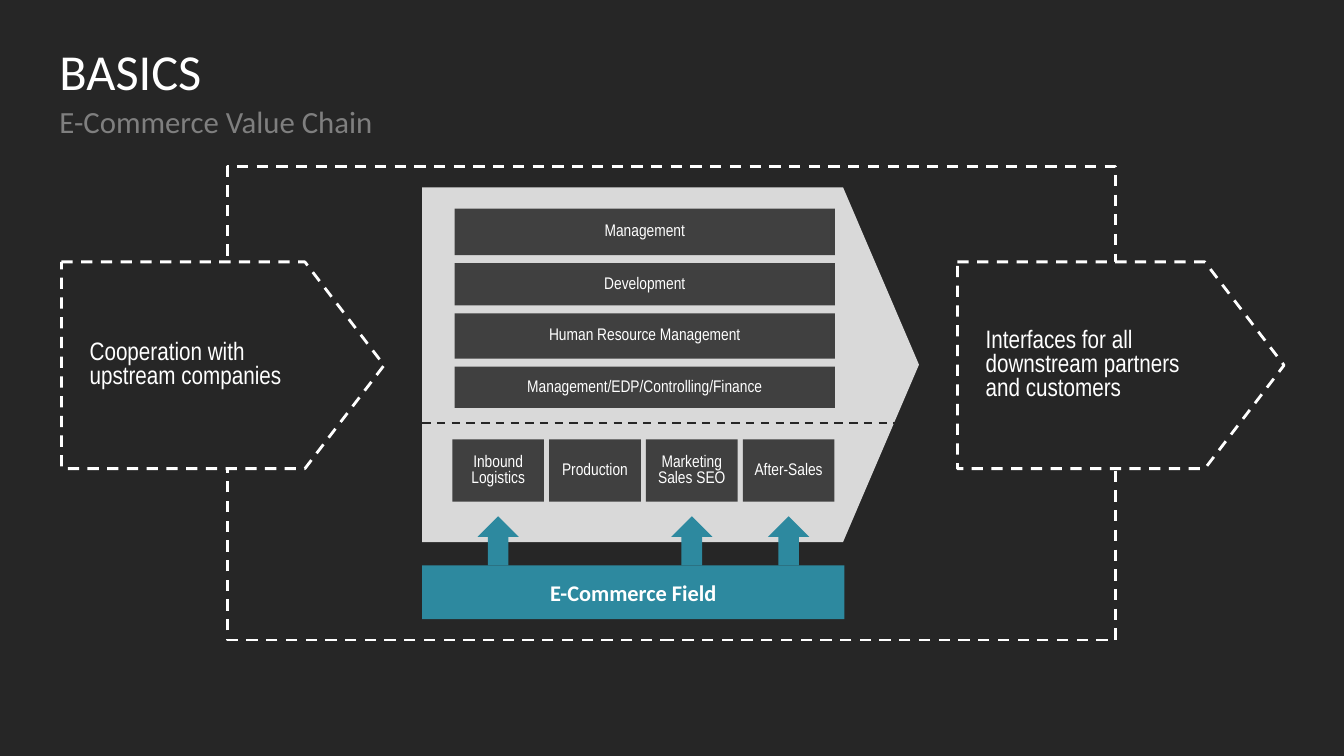
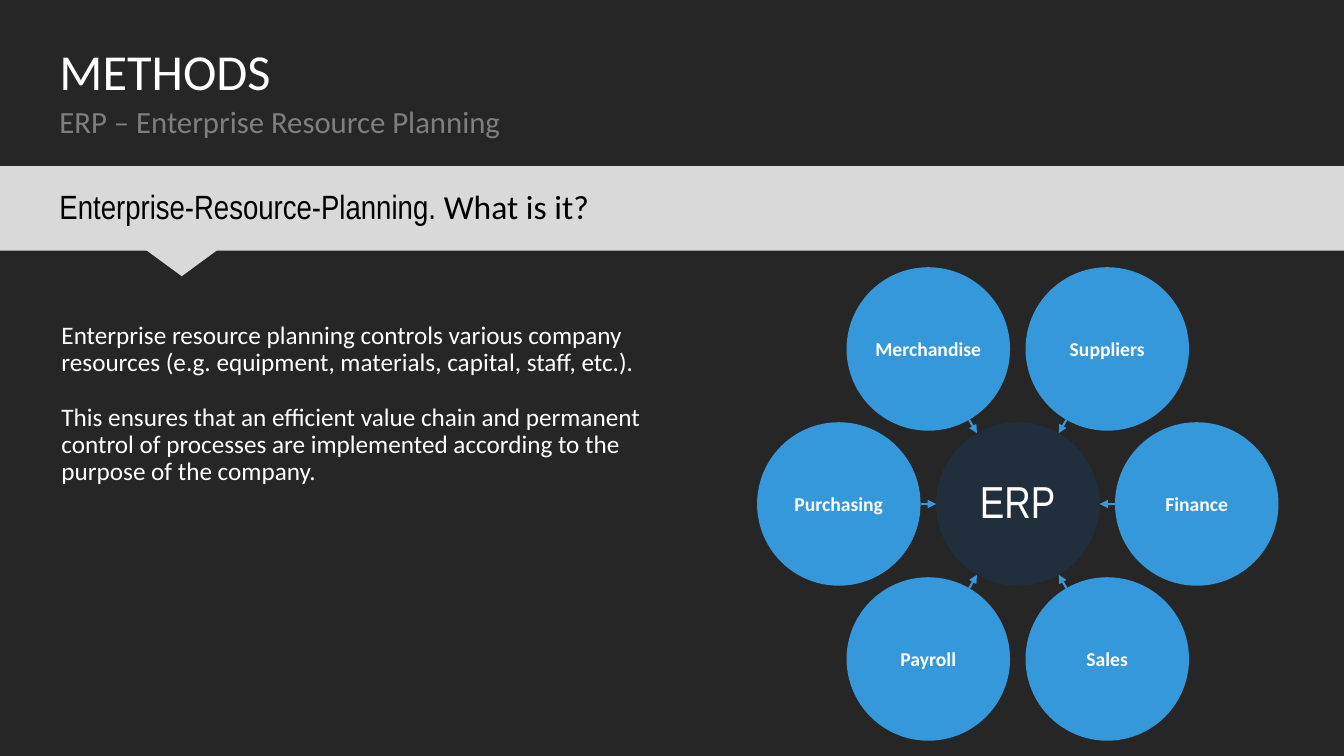
"""Builds two dark slides: the e-commerce value chain and an ERP overview."""
from math import cos, radians, sin

from pptx import Presentation
from pptx.dml.color import RGBColor
from pptx.enum.dml import MSO_LINE
from pptx.enum.shapes import MSO_CONNECTOR, MSO_SHAPE
from pptx.enum.text import MSO_ANCHOR as ANCHOR, PP_ALIGN as ALIGN
from pptx.oxml.ns import qn
from pptx.util import Cm, Pt
from lxml.etree import SubElement

DARK = RGBColor(0x26, 0x26, 0x26)
WHITE = RGBColor(0xFF, 0xFF, 0xFF)
BLACK = RGBColor(0x00, 0x00, 0x00)
GREY = RGBColor(0x7F, 0x7F, 0x7F)
LIGHT = RGBColor(0xD9, 0xD9, 0xD9)
CHARCOAL = RGBColor(0x40, 0x40, 0x40)
TEAL = RGBColor(0x2D, 0x89, 0x9F)
BLUE = RGBColor(0x34, 0x98, 0xDB)
NAVY = RGBColor(0x21, 0x2E, 0x3C)

TITLE = ("Calibri", 36, WHITE, False)
SUBTITLE = ("Calibri", 22, GREY, False)
BODY = ("Calibri", 18, WHITE, False)
FIELD = ("Calibri", 16, WHITE, True)
CELL = ("Arial Narrow", 12, WHITE, False)
PARTNER = ("Arial Narrow", 18, WHITE, False)
BAND = ("Arial Narrow", 24, BLACK, False)
BAND_QUESTION = ("Calibri", 24, BLACK, False)
HUB = ("Arial Narrow", 32, WHITE, False)
NODE = ("Calibri", 14, WHITE, True)

PAD = (0.2, 0.2, 0.2, 0.2)


def add_box(shapes, kind, box, fill=None, dashed=False, paras=(), insets=(0, 0, 0, 0),
            align=ALIGN.CENTER, spacing=1.0, gap=0):
    """Adds a preset shape, or a text box when kind is None, with its text."""
    lengths = [Cm(v) for v in box]
    if kind is None:
        sp = shapes.add_textbox(*lengths)
    else:
        sp = shapes.add_shape(kind, *lengths)
        sp.shadow.inherit = False
        if fill is None:
            sp.fill.background()
        else:
            sp.fill.solid()
            sp.fill.fore_color.rgb = fill
        if dashed:
            sp.line.color.rgb = WHITE
            sp.line.width = Pt(2)
            sp.line.dash_style = MSO_LINE.DASH
        else:
            sp.line.fill.background()
    tf = sp.text_frame
    tf.word_wrap = True
    tf.vertical_anchor = ANCHOR.TOP if kind is None else ANCHOR.MIDDLE
    tf.margin_left, tf.margin_top, tf.margin_right, tf.margin_bottom = [Cm(v) for v in insets]
    for i, runs in enumerate(paras):
        p = tf.add_paragraph() if i else tf.paragraphs[0]
        p.alignment = align
        p.line_spacing = spacing
        if i:
            p.space_before = Pt(gap)
        for text, (name, size, color, bold) in runs:
            r = p.add_run()
            r.text = text
            r.font.name, r.font.size, r.font.bold = name, Pt(size), bold
            r.font.color.rgb = color
    return sp


def add_line(shapes, ends, color, dash=None, arrow=False):
    """Adds a straight line, optionally dashed or with an arrowhead at its end."""
    cx = shapes.add_connector(MSO_CONNECTOR.STRAIGHT, *[Cm(v) for v in ends])
    cx.line.color.rgb = color
    cx.line.width = Pt(1.5)
    if dash:
        cx.line.dash_style = dash
    if arrow:
        SubElement(cx.line._get_or_add_ln(), qn("a:tailEnd"), type="triangle")
    SubElement(cx._element.spPr, qn("a:effectLst"))


prs = Presentation()
prs.slide_width, prs.slide_height = Cm(33.87), Cm(19.05)
bg = prs.slide_master.background.fill
bg.solid()
bg.fore_color.rgb = DARK

slides = []
for title, subtitle in [("BASICS", "E-Commerce Value Chain"),
                        ("METHODS", "ERP – Enterprise Resource Planning")]:
    s = prs.slides.add_slide(prs.slide_layouts[6])
    add_box(s.shapes, None, (1.5, 1.19, 30.86, 1.5), paras=[[(title, TITLE)]],
            align=ALIGN.LEFT, spacing=0.9)
    add_box(s.shapes, None, (1.5, 2.69, 30.86, 1.5), paras=[[(subtitle, SUBTITLE)]],
            align=ALIGN.LEFT, spacing=0.9)
    slides.append(s.shapes)
chain, erp = slides

company = add_box(chain, MSO_SHAPE.PENTAGON, (10.64, 4.72, 12.52, 8.94), LIGHT)
company.adjustments[0] = 0.214
add_box(chain, MSO_SHAPE.RECTANGLE, (10.64, 14.25, 10.64, 1.35), TEAL,
        paras=[[("E-Commerce Field", FIELD)]], insets=PAD)
add_box(chain, MSO_SHAPE.RECTANGLE, (5.74, 4.19, 22.38, 11.94), dashed=True)

top = 5.26
for label, height in [("Management", 1.17), ("Development", 1.07),
                      ("Human Resource Management", 1.14),
                      ("Management/EDP/Controlling/Finance", 1.04)]:
    add_box(chain, MSO_SHAPE.RECTANGLE, (11.46, top, 9.58, height), CHARCOAL,
            paras=[[(label, CELL)]], insets=PAD, spacing=0.8)
    top += height + 0.2

cell_w, arrow_w = 2.31, 1.04
for i, (label, online) in enumerate([("Inbound Logistics", True), ("Production", False),
                                     ("Marketing Sales SEO", True), ("After-Sales", True)]):
    left = 11.4 + 2.44 * i
    add_box(chain, MSO_SHAPE.RECTANGLE, (left, 11.07, cell_w, 1.57), CHARCOAL,
            paras=[[(label, CELL)]], insets=PAD, spacing=0.8)
    if online:
        add_box(chain, MSO_SHAPE.UP_ARROW,
                (left + (cell_w - arrow_w) / 2, 13.01, arrow_w, 1.24), TEAL)

for left, width, label in [(1.55, 8.13, "Cooperation with upstream companies"),
                           (24.13, 8.23, "Interfaces for all downstream partners and customers")]:
    partner = add_box(chain, MSO_SHAPE.RIGHT_ARROW, (left, 6.6, width, 5.21), DARK, dashed=True,
                      paras=[[(label, PARTNER)]], insets=(0.71, 0, 0, 0),
                      align=ALIGN.LEFT, spacing=0.8)
    partner.adjustments[0] = 1.0
    partner.adjustments[1] = 0.383
add_line(chain, (10.64, 10.67, 22.56, 10.67), DARK, dash=MSO_LINE.DASH)

add_box(erp, None, (1.55, 8.13, 15.98, 4.17), align=ALIGN.LEFT, spacing=0.9, gap=19.5, paras=[
    [("Enterprise resource planning controls various company resources "
      "(e.g. equipment, materials, capital, staff, etc.).", BODY)],
    [("This ensures that an efficient value chain and permanent control of processes "
      "are implemented according to the purpose of the company.", BODY)]])
add_box(erp, MSO_SHAPE.RECTANGLE, (0, 4.19, 33.87, 2.13), LIGHT,
        paras=[[("Enterprise-Resource-Planning. ", BAND), ("What is it?", BAND_QUESTION)]],
        insets=(1.5, 0.13, 1.5, 0.13), align=ALIGN.LEFT, spacing=0.9)
pointer = add_box(erp, MSO_SHAPE.ISOSCELES_TRIANGLE, (3.68, 6.3, 1.8, 0.66), LIGHT)
pointer.rotation = 180

wheel = erp.add_group_shape().shapes
hub_x, hub_y, radius, orbit = 25.65, 12.7, 2.06, 4.51
add_box(wheel, MSO_SHAPE.OVAL, (hub_x - radius, hub_y - radius, 2 * radius, 2 * radius), NAVY,
        paras=[[("ERP", HUB)]], spacing=0.9)
for i, label in enumerate(["Finance", "Sales", "Payroll", "Purchasing", "Merchandise", "Suppliers"]):
    dx, dy = cos(radians(60 * i)), sin(radians(60 * i))
    add_box(wheel, MSO_SHAPE.OVAL,
            (hub_x + orbit * dx - radius, hub_y + orbit * dy - radius, 2 * radius, 2 * radius),
            BLUE, paras=[[(label, NODE)]])
    start, end = orbit - radius, radius
    add_line(wheel, (hub_x + start * dx, hub_y + start * dy, hub_x + end * dx, hub_y + end * dy),
             BLUE, arrow=True)

prs.save("out.pptx")
